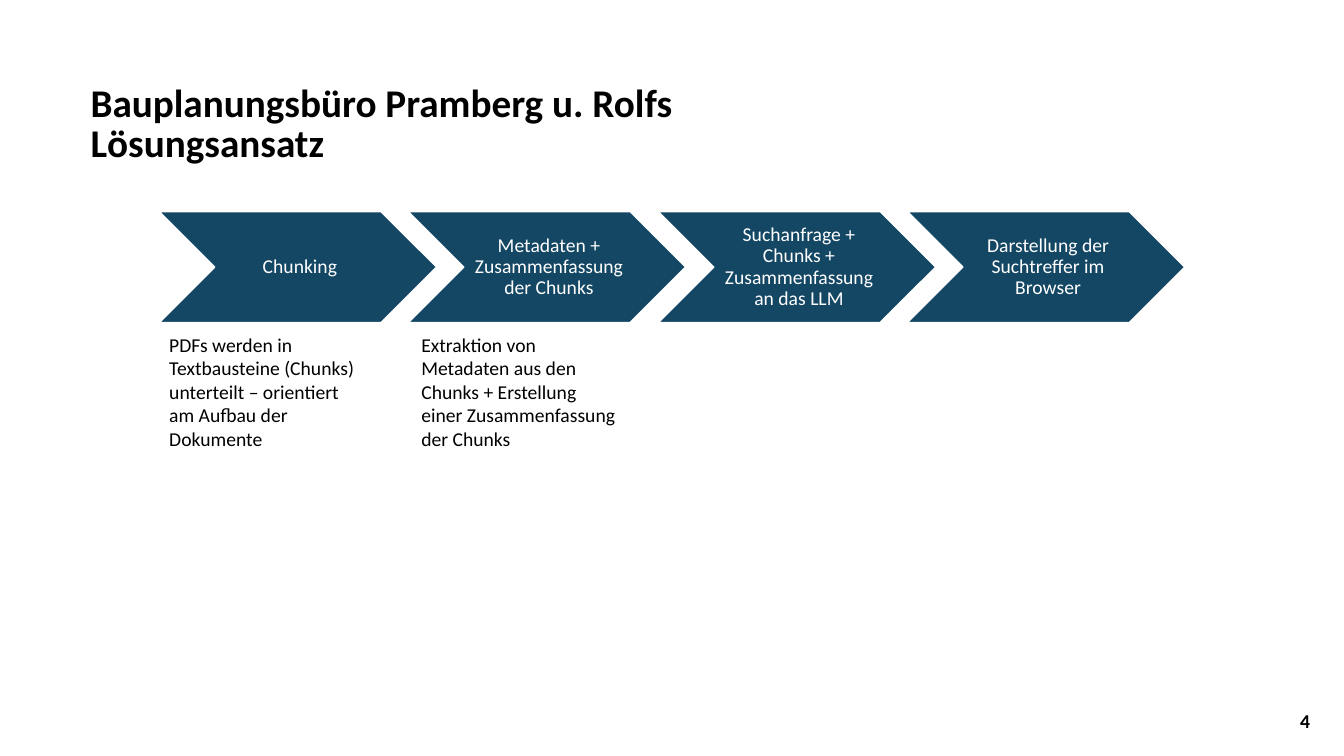
from pptx import Presentation
from pptx.dml.color import RGBColor
from pptx.enum.shapes import MSO_SHAPE as Shape
from pptx.enum.text import MSO_ANCHOR as Anchor, PP_ALIGN as Align
from pptx.util import Pt

PX = 9144
BLACK = RGBColor(0x00, 0x00, 0x00)
WHITE = RGBColor(0xFF, 0xFF, 0xFF)
PETROL = RGBColor(0x14, 0x47, 0x64)

STEPS = [
    "Chunking",
    "Metadaten + Zusammenfassung der Chunks",
    "Suchanfrage + Chunks + Zusammenfassung an das LLM",
    "Darstellung der Suchtreffer im Browser",
]
DETAILS = [
    "PDFs werden in Textbausteine (Chunks) unterteilt – orientiert am Aufbau der Dokumente",
    "Extraktion von Metadaten aus den Chunks + Erstellung einer Zusammenfassung der Chunks",
]


def write(box, text, size=14, color=BLACK, bold=False, **layout):
    frame = box.text_frame
    frame.word_wrap = True
    para = frame.paragraphs[0]
    para.text = text
    for name, value in layout.items():
        setattr(para, name, value)
    font = {"name": "Calibri", "size": Pt(size), "bold": bold}
    for span in para.runs:
        span.font.color.rgb = color
        for name, value in font.items():
            setattr(span.font, name, value)


def add_text(page, bounds, text, **style):
    box = page.shapes.add_textbox(*(length * PX for length in bounds))
    write(box, text, **style)


deck = Presentation()
deck.slide_width = 1333 * PX
deck.slide_height = 750 * PX
page = deck.slides.add_slide(deck.slide_layouts[6])

add_text(page, (1266, 698, 57, 34), "4", bold=True, alignment=Align.CENTER)
add_text(page, (80, 81, 1055, 89), "Bauplanungsbüro Pramberg u. Rolfs\vLösungsansatz",
         size=28, bold=True, line_spacing=Pt(28))

chevron_frame = {
    "margin_left": 6 * PX,
    "margin_top": 2 * PX,
    "margin_right": 2 * PX,
    "margin_bottom": 2 * PX,
    "vertical_anchor": Anchor.MIDDLE,
}
for index, step in enumerate(STEPS):
    left = 158 + round(247.4 * index)
    chevron = page.shapes.add_shape(Shape.CHEVRON, left * PX, 210 * PX, 275 * PX, 110 * PX)
    chevron.shadow.inherit = False
    chevron.fill.solid()
    chevron.fill.fore_color.rgb = PETROL
    chevron.line.color.rgb = WHITE
    chevron.line.width = Pt(1)
    for name, value in chevron_frame.items():
        setattr(chevron.text_frame, name, value)
    write(chevron, step, color=WHITE, alignment=Align.CENTER, line_spacing=0.9)

for index, detail in enumerate(DETAILS):
    add_text(page, (158 + 250 * index, 325, 215, 128), detail)

deck.save("out.pptx")
